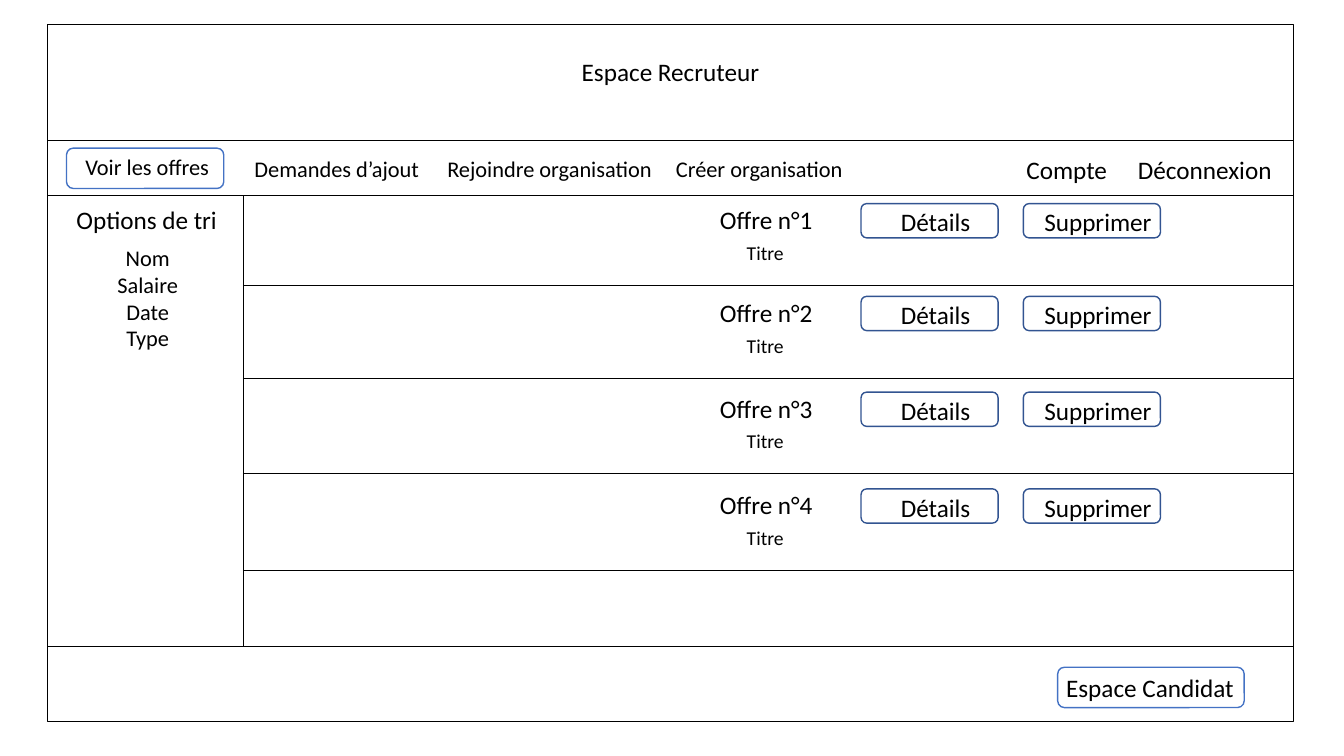
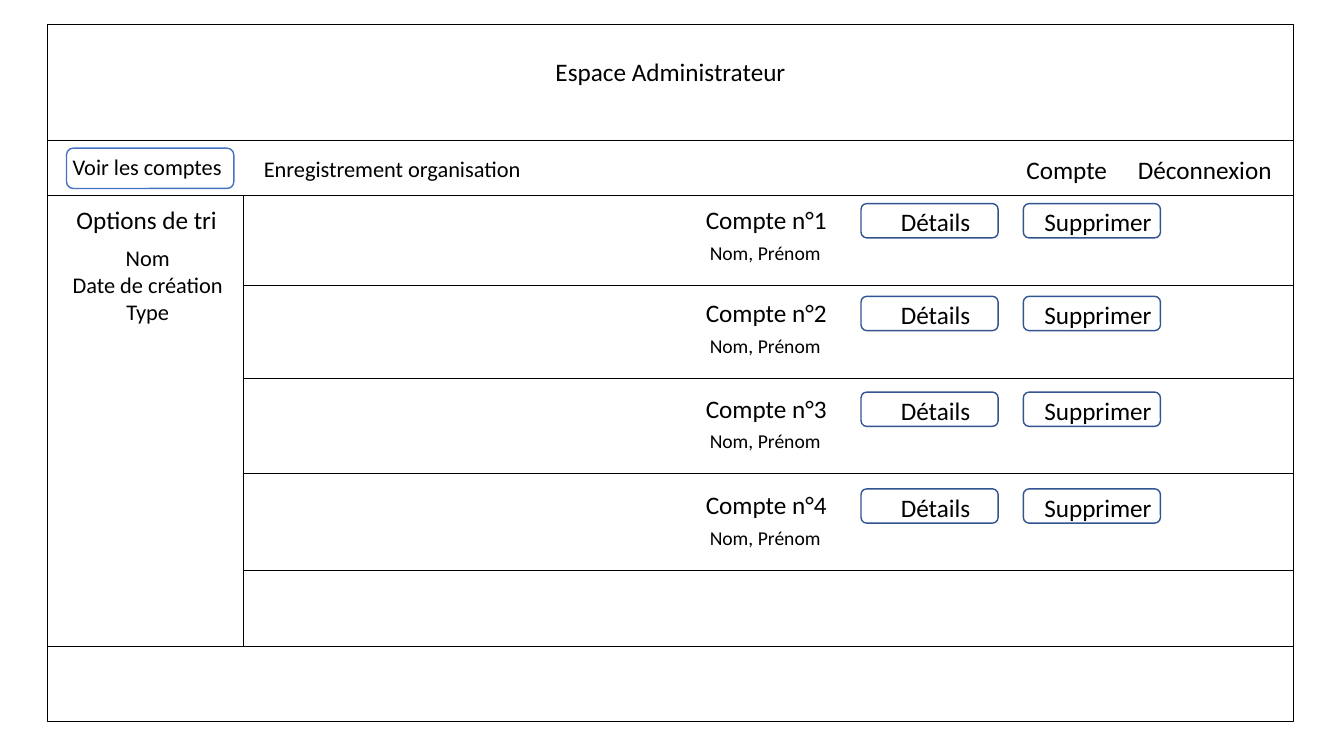
from dataclasses import dataclass

from lxml import etree
from pptx import Presentation
from pptx.dml.color import RGBColor
from pptx.enum.shapes import MSO_CONNECTOR, MSO_SHAPE
from pptx.enum.text import MSO_ANCHOR, MSO_AUTO_SIZE, PP_ALIGN
from pptx.oxml.ns import qn
from pptx.presentation import Presentation as Deck
from pptx.shapes.autoshape import Shape
from pptx.slide import Slide
from pptx.text.text import TextFrame
from pptx.util import Emu, Pt

STRAIGHT = MSO_CONNECTOR.STRAIGHT
RECTANGLE, ROUNDED = MSO_SHAPE.RECTANGLE, MSO_SHAPE.ROUNDED_RECTANGLE
TOP, MIDDLE = MSO_ANCHOR.TOP, MSO_ANCHOR.MIDDLE
CENTER = PP_ALIGN.CENTER
FIXED_SIZE = MSO_AUTO_SIZE.NONE

EMU_PER_PX = 9144  # 100 px to the inch
TITLE_AND_CONTENT = 1


@dataclass(frozen=True)
class Theme:
    font: str = "Calibri"
    ink: RGBColor = RGBColor(0x00, 0x00, 0x00)
    row_button: RGBColor = RGBColor(0x32, 0x54, 0x91)
    page_button: RGBColor = RGBColor(0x44, 0x72, 0xC4)
    heading_size: int = 18
    menu_size: int = 16
    caption_size: int = 14
    outline: float = 1
    divider: float = 0.5


@dataclass(frozen=True)
class Box:
    left: int
    top: int
    width: int
    height: int

    @property
    def right(self) -> int:
        return self.left + self.width

    @property
    def bottom(self) -> int:
        return self.top + self.height


@dataclass(frozen=True)
class Label:
    text: str
    box: Box
    size: int


@dataclass(frozen=True)
class Button:
    text: str
    box: Box
    size: int
    color: RGBColor
    shift_x: int = 0  # moves the text off the centre
    shift_y: int = 0


@dataclass(frozen=True)
class Page:
    title: str
    sort_options: tuple[str, ...]
    row_name: str
    row_caption: str
    menu: tuple[Label, ...]
    buttons: tuple[Button, ...]


THEME = Theme()

# Page grid
SLIDE = Box(0, 0, 1333, 750)
FRAME = Box(47, 24, 1236, 692)
HEADER_BOTTOM, MENU_BOTTOM, FOOTER_TOP = 139, 194, 641
SIDEBAR_RIGHT = 241
ROW_TOPS = (194, 286, 381, 477)
ROW_HEIGHT = 89


def menu_label(text: str, left: int) -> Label:
    return Label(text, Box(left, 149, 282, 37), THEME.menu_size)


def view_button(text: str, width: int) -> Button:
    return Button(text, Box(66, 147, width, 40), THEME.menu_size,
                  THEME.page_button, shift_x=146 - 66 - width // 2, shift_y=-2)


SHARED_LABELS = (
    Label("Options de tri", Box(26, 198, 239, 40), THEME.heading_size),
    Label("Compte", Box(953, 148, 210, 40), THEME.heading_size),
    Label("Déconnexion", Box(1090, 148, 210, 40), THEME.heading_size),
)

PAGES = (
    Page(
        title="Espace Recruteur",
        sort_options=("Nom", "Salaire", "Date", "Type"),
        row_name="Offre",
        row_caption="Titre",
        menu=(
            menu_label("Demandes d’ajout", 193),
            menu_label("Rejoindre organisation", 404),
            menu_label("Créer organisation", 612),
        ),
        buttons=(
            view_button("Voir les offres", 156),
            Button("Espace Candidat", Box(1049, 662, 185, 40),
                   THEME.heading_size, THEME.page_button, shift_x=-1),
        ),
    ),
    Page(
        title="Espace Administrateur",
        sort_options=("Nom", "Date de création", "Type"),
        row_name="Compte",
        row_caption="Nom, Prénom",
        menu=(menu_label("Enregistrement organisation", 248),),
        buttons=(view_button("Voir les comptes", 166),),
    ),
)


def px(length: int) -> Emu:
    return Emu(length * EMU_PER_PX)


def place(shape: Shape, box: Box) -> None:
    shape.left, shape.top = px(box.left), px(box.top)
    shape.width, shape.height = px(box.width), px(box.height)


def write(frame: TextFrame, lines: tuple[str, ...], size: int,
          anchor: MSO_ANCHOR = TOP) -> None:
    frame.text = "\n".join(lines)
    frame.word_wrap = True
    frame.auto_size = FIXED_SIZE
    frame.vertical_anchor = anchor
    for para in frame.paragraphs:
        para.alignment = CENTER
        para.space_before = Pt(0)
        para.font.name = THEME.font
        para.font.size = Pt(size)
        para.font.color.rgb = THEME.ink


def remove_bullets(frame: TextFrame) -> None:
    for para in frame.paragraphs:
        properties = para._p.get_or_add_pPr()
        properties.set("marL", "0")
        properties.set("indent", "0")
        properties.find(qn("a:defRPr")).addprevious(
            etree.Element(qn("a:buNone")))


def add_label(slide: Slide, label: Label) -> None:
    box = label.box
    shape = slide.shapes.add_textbox(px(box.left), px(box.top),
                                     px(box.width), px(box.height))
    write(shape.text_frame, (label.text,), label.size)


def add_outline(slide: Slide, kind: MSO_SHAPE, box: Box,
                color: RGBColor) -> Shape:
    shape = slide.shapes.add_shape(kind, px(box.left), px(box.top),
                                   px(box.width), px(box.height))
    shape.shadow.inherit = False
    shape.fill.background()
    shape.line.color.rgb = color
    shape.line.width = Pt(THEME.outline)
    return shape


def add_button(slide: Slide, button: Button) -> None:
    frame = add_outline(slide, ROUNDED, button.box, button.color).text_frame
    frame.margin_left = px(max(0, 2 * button.shift_x))
    frame.margin_right = px(max(0, -2 * button.shift_x))
    frame.margin_top = px(max(0, 2 * button.shift_y))
    frame.margin_bottom = px(max(0, -2 * button.shift_y))
    write(frame, (button.text,), button.size, MIDDLE)


def add_divider(slide: Slide, x1: int, y1: int, x2: int, y2: int) -> None:
    line = slide.shapes.add_connector(STRAIGHT, px(x1), px(y1), px(x2), px(y2))
    line.line.color.rgb = THEME.ink
    line.line.width = Pt(THEME.divider)
    etree.SubElement(line._element.spPr, qn("a:effectLst"))


def add_row(slide: Slide, top: int, name: str, caption: str) -> None:
    add_label(slide, Label(name, Box(606, top + 4, 308, 40),
                           THEME.heading_size))
    add_label(slide, Label(caption, Box(605, top + 40, 308, 34),
                           THEME.caption_size))
    for text, left in (("Détails", 854), ("Supprimer", 1015)):
        add_button(slide, Button(text, Box(left, top + 8, 136, 34),
                                 THEME.heading_size, THEME.row_button,
                                 shift_x=6, shift_y=1))
    bottom = top + ROW_HEIGHT
    add_divider(slide, SIDEBAR_RIGHT, bottom, FRAME.right, bottom)


def add_page(deck: Deck, page: Page) -> None:
    slide = deck.slides.add_slide(deck.slide_layouts[TITLE_AND_CONTENT])

    # Title and sort options
    title, options = slide.shapes.title, slide.placeholders[1]
    place(title, Box(416, 51, 498, 40))
    write(title.text_frame, (page.title,), THEME.heading_size)
    place(options, Box(27, 237, 239, 10 + 27 * len(page.sort_options)))
    write(options.text_frame, page.sort_options, THEME.menu_size)
    remove_bullets(options.text_frame)

    # Frame and bands
    add_outline(slide, RECTANGLE, FRAME, THEME.ink)
    for y in (HEADER_BOTTOM, MENU_BOTTOM, FOOTER_TOP):
        add_divider(slide, FRAME.left, y, FRAME.right, y)
    add_divider(slide, SIDEBAR_RIGHT, MENU_BOTTOM, SIDEBAR_RIGHT, FOOTER_TOP)

    # Menu, then rows
    for label in SHARED_LABELS + page.menu:
        add_label(slide, label)
    for button in page.buttons:
        add_button(slide, button)
    for number, top in enumerate(ROW_TOPS, start=1):
        add_row(slide, top, f"{page.row_name} n°{number}", page.row_caption)


def main() -> None:
    deck = Presentation()
    deck.slide_width, deck.slide_height = px(SLIDE.width), px(SLIDE.height)
    for page in PAGES:
        add_page(deck, page)
    deck.save("out.pptx")


if __name__ == "__main__":
    main()
